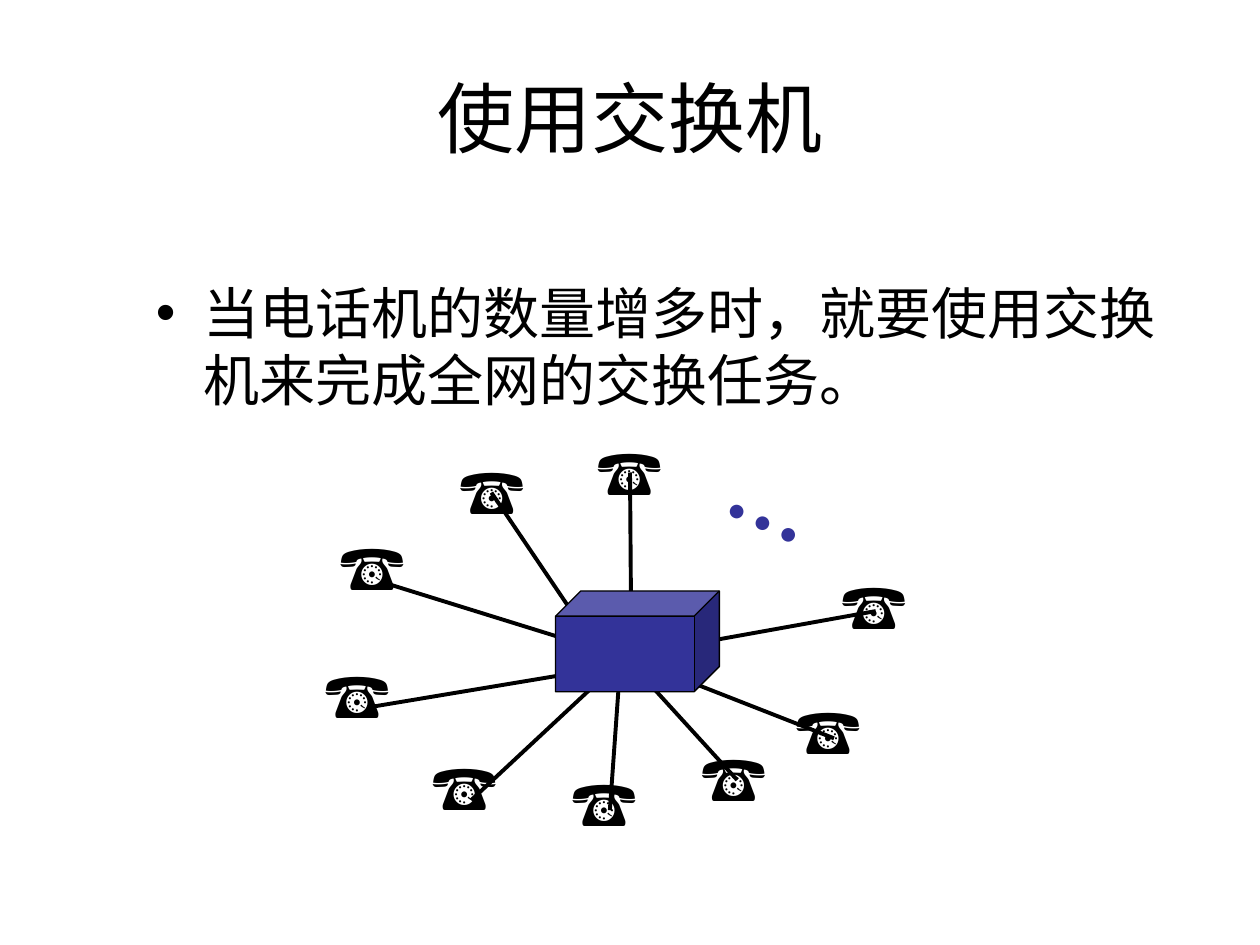
from lxml.etree import SubElement
from pptx import Presentation
from pptx.dml.color import RGBColor
from pptx.enum.shapes import MSO_CONNECTOR, MSO_SHAPE
from pptx.enum.text import MSO_ANCHOR, MSO_AUTO_SIZE, PP_ALIGN
from pptx.oxml.ns import qn
from pptx.util import Pt

INK, BLUE = "000000", "333399"

# Line ends (x1, y1, x2, y2) and phone corners, in points, in two layers.
LAYERS = [
    ([(476.6, 421.9, 377.3, 383), (348.5, 463, 354.2, 383),
      (212.4, 403.9, 337.7, 383), (280.8, 281.5, 329, 352.8)],
     [(334.1, 243.4), (187.2, 298.1), (239.8, 423.4),
      (473.8, 320.4), (393.8, 418.3)]),
    ([(360.7, 360.7, 360, 270), (388.1, 369.4, 500.4, 349.2),
      (218.2, 332.6, 334.1, 368.6), (269.3, 457.2, 342.7, 388.8),
      (421.2, 445.7, 354.2, 372.2)],
     [(178.6, 370.8), (255.6, 254.2), (319.7, 432.7), (447.8, 391.7)]),
]


def color(code):
    return RGBColor.from_string(code)


def add_run(para, text, size, font="Arial", code=INK, bold=False):
    run = para.add_run()
    run.text = text
    run.font.size = Pt(size)
    run.font.name = font
    run.font.bold = bold
    run.font.color.rgb = color(code)


def add_box(slide, left, top, width, height, wrap=True):
    box = slide.shapes.add_textbox(Pt(left), Pt(top), Pt(width), Pt(height))
    box.text_frame.word_wrap = wrap
    return box


def add_title(slide, *area):
    frame = add_box(slide, *area).text_frame
    frame.vertical_anchor = MSO_ANCHOR.MIDDLE
    para = frame.paragraphs[0]
    para.alignment = PP_ALIGN.CENTER
    add_run(para, "使用交换机", 44)


def add_body(slide, *area):
    para = add_box(slide, *area).text_frame.paragraphs[0]
    props = para._p.get_or_add_pPr()
    props.set("marL", str(Pt(27)))
    props.set("indent", str(Pt(-27)))
    SubElement(props, qn("a:buFont"), typeface="Arial")
    SubElement(props, qn("a:buChar"), char="•")
    add_run(para, "当电话机的数量增多时，就要使用交换机来完成全网的交换任务。", 32)


def add_sign(slide, area, text, size, code=INK, bold=False):
    """Place one symbol in a box that fits its text."""
    box = add_box(slide, *area, wrap=False)
    box.text_frame.auto_size = MSO_AUTO_SIZE.SHAPE_TO_FIT_TEXT
    add_run(box.text_frame.paragraphs[0], text, size, "Times New Roman", code, bold)
    return box


def add_line(slide, *ends):
    line = slide.shapes.add_connector(MSO_CONNECTOR.STRAIGHT, *map(Pt, ends))
    line.line.color.rgb = color(INK)
    line.line.width = Pt(2.25)
    SubElement(line._element.spPr, qn("a:effectLst"))


def add_switch(slide, *area):
    cube = slide.shapes.add_shape(MSO_SHAPE.CUBE, *map(Pt, area))
    cube.adjustments[0] = 0.25
    cube.shadow.inherit = False
    cube.fill.solid()
    cube.fill.fore_color.rgb = color(BLUE)
    cube.line.color.rgb = color(INK)
    cube.line.width = Pt(0.75)


def add_net(slide, left, top):
    """Draw the phones around the switch; left and top shift the whole net."""
    dots = add_sign(slide, (left + 232.5, top + 9.3, 62.6, 64.8), "…", 48, BLUE, True)
    dots.rotation = 24.3
    for lines, phones in LAYERS:
        for ends in lines:
            add_line(slide, *ends)
        for x, y in phones:
            add_sign(slide, (x, y, 62.6, 50.4), "☎", 36)
    add_switch(slide, left + 138.9, top + 94.3, 93.6, 57.6)


def main():
    deck = Presentation()
    deck.slide_width, deck.slide_height = Pt(720), Pt(540)
    slide = deck.slides.add_slide(deck.slide_layouts[6])
    add_title(slide, 36, 21.6, 648, 90)
    add_body(slide, 82, 155.5, 612, 324)
    add_net(slide, 178.6, 243.4)
    deck.save("out.pptx")


if __name__ == "__main__":
    main()
